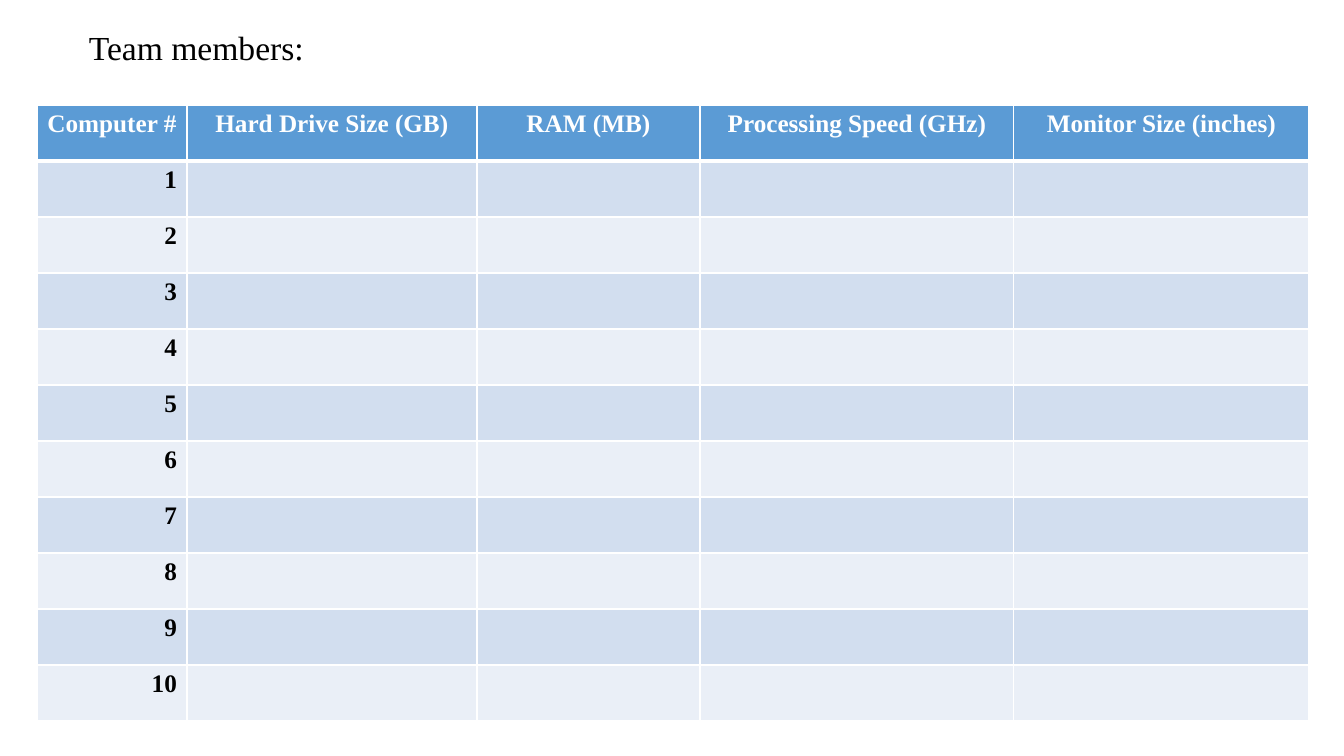
from dataclasses import dataclass

from lxml import etree
from pptx import Presentation
from pptx.dml.color import RGBColor
from pptx.enum.text import PP_ALIGN
from pptx.oxml.ns import qn
from pptx.util import Pt

CENTER, LEFT, RIGHT = PP_ALIGN.CENTER, PP_ALIGN.LEFT, PP_ALIGN.RIGHT

HEADING = "Team members:"
COLUMNS = [
    ("Computer #", 150),
    ("Hard Drive Size (GB)", 290),
    ("RAM (MB)", 223),
    ("Processing Speed (GHz)", 314),
    ("Monitor Size (inches)", 295),
]
COMPUTER_COUNT = 10

SLIDE_SIZE = (1344, 756)
HEADING_BOX = (79, 22, 1120, 50)
TABLE_ORIGIN = (37, 105)
ROW_HEIGHT = 56


@dataclass(frozen=True)
class Theme:
    font: str = "Times New Roman"
    heading_size: int = 24
    table_size: int = 18
    ink: str = "000000"
    white: str = "FFFFFF"
    header: str = "5B9BD5"
    bands: tuple = ("D2DEEF", "EAEFF7")
    rule: int = 1
    header_rule: int = 3


THEME = Theme()


def px(length):
    return round(length * 914400 / 100.8)


def write(frame, text, size, color, align, bold=False):
    frame.text = text
    para = frame.paragraphs[0]
    para.alignment = align
    for span in para.runs:
        span.font.name = THEME.font
        span.font.size = Pt(size)
        span.font.bold = bold
        span.font.color.rgb = RGBColor.from_string(color)


def set_borders(cell, top, bottom):
    properties = cell._tc.get_or_add_tcPr()
    widths = {"a:lnL": THEME.rule, "a:lnR": THEME.rule, "a:lnT": top, "a:lnB": bottom}
    for index, (tag, width) in enumerate(widths.items()):
        line = etree.Element(qn(tag), w=str(Pt(width)))
        fill = etree.SubElement(line, qn("a:solidFill"))
        etree.SubElement(fill, qn("a:srgbClr"), val=THEME.white)
        properties.insert(index, line)


def add_heading(page):
    box = page.shapes.add_textbox(*map(px, HEADING_BOX))
    box.text_frame.word_wrap = True
    write(box.text_frame, HEADING, THEME.heading_size, THEME.ink, LEFT)


def add_computer_table(page):
    titles = [title for title, width in COLUMNS]
    widths = [width for title, width in COLUMNS]
    blanks = [""] * (len(COLUMNS) - 1)
    rows = [titles] + [[str(n + 1)] + blanks for n in range(COMPUTER_COUNT)]
    size = (sum(widths), ROW_HEIGHT * len(rows))
    table = page.shapes.add_table(
        len(rows), len(widths), *map(px, TABLE_ORIGIN + size)
    ).table
    for column, width in zip(table.columns, widths):
        column.width = px(width)
    for r, values in enumerate(rows):
        table.rows[r].height = px(ROW_HEIGHT)
        is_header = r == 0
        fill = THEME.header if is_header else THEME.bands[(r - 1) % 2]
        color = THEME.white if is_header else THEME.ink
        align = CENTER if is_header else RIGHT
        top = THEME.header_rule if r == 1 else THEME.rule
        bottom = THEME.header_rule if is_header else THEME.rule
        for c, value in enumerate(values):
            cell = table.cell(r, c)
            cell.fill.solid()
            cell.fill.fore_color.rgb = RGBColor.from_string(fill)
            set_borders(cell, top, bottom)
            write(cell.text_frame, value, THEME.table_size, color, align, bold=True)


def main():
    deck = Presentation()
    deck.slide_width, deck.slide_height = map(px, SLIDE_SIZE)
    blank_layout = deck.slide_layouts[6]
    page = deck.slides.add_slide(blank_layout)
    add_computer_table(page)
    add_heading(page)
    deck.save("out.pptx")


if __name__ == "__main__":
    main()
